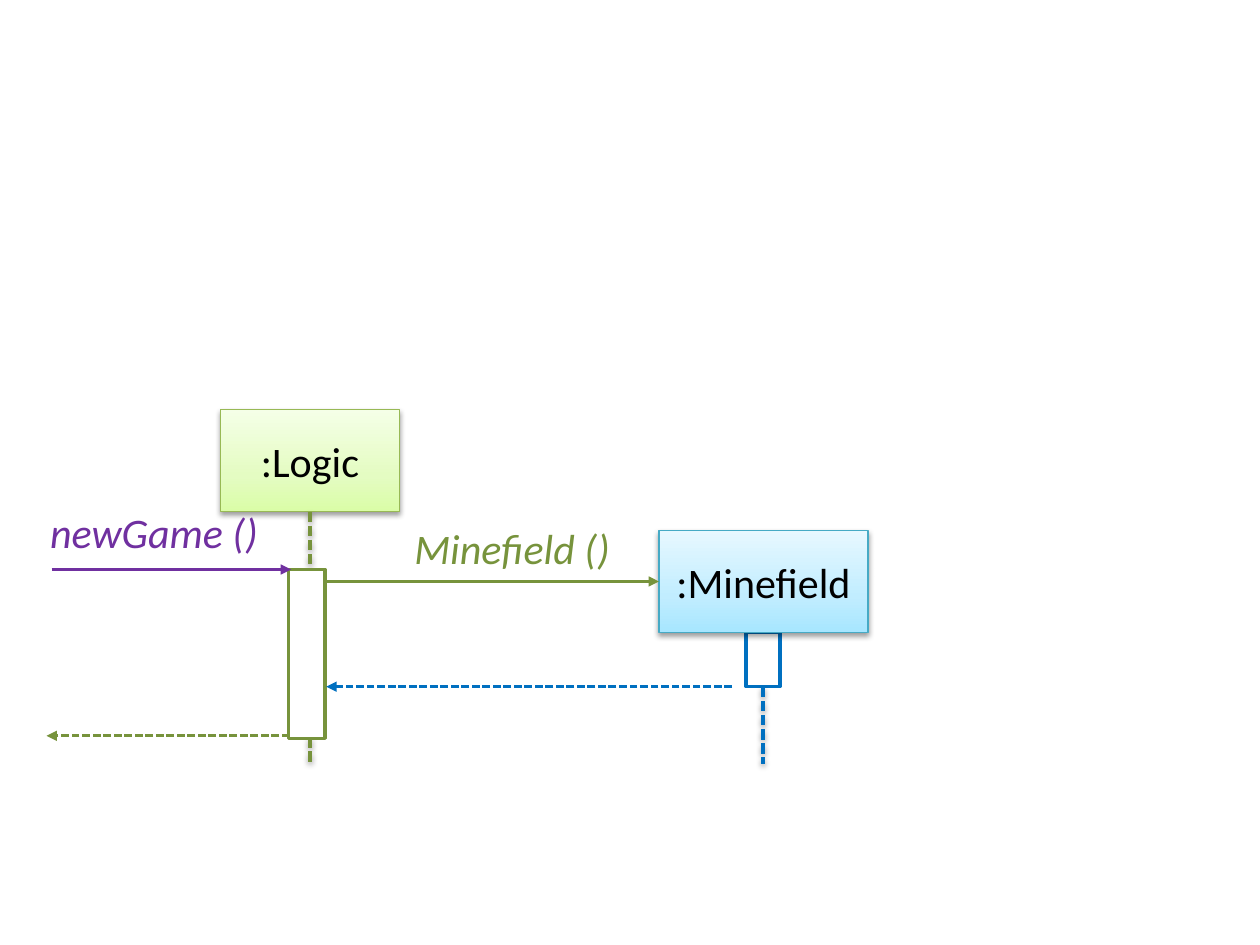
from copy import deepcopy

from lxml.etree import SubElement
from pptx import Presentation
from pptx.dml.color import RGBColor
from pptx.enum.dml import MSO_LINE
from pptx.enum.shapes import MSO_CONNECTOR, MSO_SHAPE
from pptx.enum.text import MSO_ANCHOR, MSO_AUTO_SIZE, PP_ALIGN
from pptx.oxml.ns import qn
from pptx.util import Inches, Pt

GREEN, BLUE, PURPLE = "77933C", "0070C0", "7030A0"
BOTTOM, LEFT = 2, 1


def color(value):
    return RGBColor.from_string(value)


def apply_format(target, values):
    for key, value in values.items():
        setattr(target, key, value)


class SequenceDiagram:
    font = {"name": "Calibri", "size": Pt(24)}
    frame = {"word_wrap": True, "auto_size": MSO_AUTO_SIZE.SHAPE_TO_FIT_TEXT}
    header_frame = {
        "margin_left": Inches(0.1), "margin_right": Inches(0.1),
        "margin_top": Inches(0.2), "margin_bottom": Inches(0.2),
        "vertical_anchor": MSO_ANCHOR.MIDDLE,
    }
    shadow = {"blurRad": "40000", "dist": "20000", "dir": "5400000", "rotWithShape": "0"}

    def __init__(self, slide):
        self.slide = slide

    def add_text(self, shape, text, ink, align, italic=False):
        apply_format(shape.text_frame, self.frame)
        paragraph = shape.text_frame.paragraphs[0]
        paragraph.alignment = align
        run = paragraph.add_run()
        run.text = text
        apply_format(run.font, {**self.font, "italic": italic})
        run.font.color.rgb = color(ink)

    def cast_shadow(self, effects):
        outer = SubElement(effects, qn("a:outerShdw"), self.shadow)
        black = SubElement(outer, qn("a:srgbClr"), val="000000")
        SubElement(black, qn("a:alpha"), val="38000")

    def rectangle(self, box, outline, width):
        shape = self.slide.shapes.add_shape(MSO_SHAPE.RECTANGLE, *map(Inches, box))
        shape.shadow.inherit = False
        shape.line.color.rgb = color(outline)
        shape.line.width = Pt(width)
        return shape

    def activation(self, box, outline):
        shape = self.rectangle(box, outline, 2)
        shape.fill.solid()
        shape.fill.fore_color.rgb = color("FFFFFF")
        return shape

    def header(self, box, text, outline, shades):
        shape = self.rectangle(box, outline, 0.75)
        shape.fill.gradient()
        shape.fill.gradient_angle = 90
        properties = shape.element.spPr
        stop_list = properties.find(qn("a:gradFill")).find(qn("a:gsLst"))
        stop_list.insert(1, deepcopy(stop_list[0]))
        stop_list[1].set("pos", "35000")
        for stop, shade in zip(shape.fill.gradient_stops, shades):
            stop.color.rgb = color(shade)
        self.cast_shadow(properties.find(qn("a:effectLst")))
        apply_format(shape.text_frame, self.header_frame)
        self.add_text(shape, text, "000000", PP_ALIGN.CENTER)
        return shape

    def label(self, box, text, ink):
        shape = self.slide.shapes.add_textbox(*map(Inches, box))
        self.add_text(shape, text, ink, PP_ALIGN.LEFT, italic=True)

    def line(self, start, end, ink, width, dashed):
        connector = self.slide.shapes.add_connector(
            MSO_CONNECTOR.STRAIGHT, *map(Inches, (*start, *end)))
        connector.line.color.rgb = color(ink)
        connector.line.width = Pt(width)
        if dashed:
            connector.line.dash_style = MSO_LINE.SQUARE_DOT
        effects = SubElement(connector.element.spPr, qn("a:effectLst"))
        return connector, effects

    def lifeline(self, owner, x, top, bottom, ink):
        connector, effects = self.line((x, top), (x, bottom), ink, 2, True)
        self.cast_shadow(effects)
        connector.begin_connect(owner, BOTTOM)
        connector.end_x = connector.begin_x

    def message(self, start, end, y, ink, dashed=False):
        connector, _ = self.line((start, y), (end, y), ink, 1.5, dashed)
        stroke = connector.element.spPr.find(qn("a:ln"))
        SubElement(stroke, qn("a:tailEnd"), type="triangle")
        return connector


def main():
    presentation = Presentation()
    presentation.slide_width, presentation.slide_height = Inches(10), Inches(7.5)
    diagram = SequenceDiagram(presentation.slides.add_slide(presentation.slide_layouts[6]))

    construction = diagram.activation((5.92, 5.02, 0.27, 0.43), BLUE)
    diagram.lifeline(construction, 6.05, 5.45, 6.06, BLUE)
    minefield = diagram.header((5.23, 4.21, 1.66, 0.81), ":Minefield", "46AAC5",
                               ("A7E6FF", "C1EDFF", "E7F8FF"))
    logic = diagram.header((1.75, 3.25, 1.42, 0.81), ":Logic", "98B955",
                           ("DAFDA7", "E4FCC2", "F5FFE7"))
    diagram.lifeline(logic, 2.46, 4.06, 6.06, GREEN)
    diagram.activation((2.29, 4.52, 0.29, 1.34), GREEN)

    diagram.label((3.19, 4.1, 1.91, 0.5), "Minefield ()", GREEN)
    diagram.message(5.81, 2.59, 5.45, BLUE, dashed=True)
    diagram.label((0.3, 3.97, 1.87, 0.5), "newGame ()", PURPLE)
    diagram.message(0.41, 2.31, 4.52, PURPLE)
    creation = diagram.message(2.58, 5.23, 4.62, GREEN)
    creation.end_connect(minefield, LEFT)
    creation.begin_y = creation.end_y
    diagram.message(2.3, 0.37, 5.84, GREEN, dashed=True)

    presentation.save("out.pptx")


if __name__ == "__main__":
    main()
